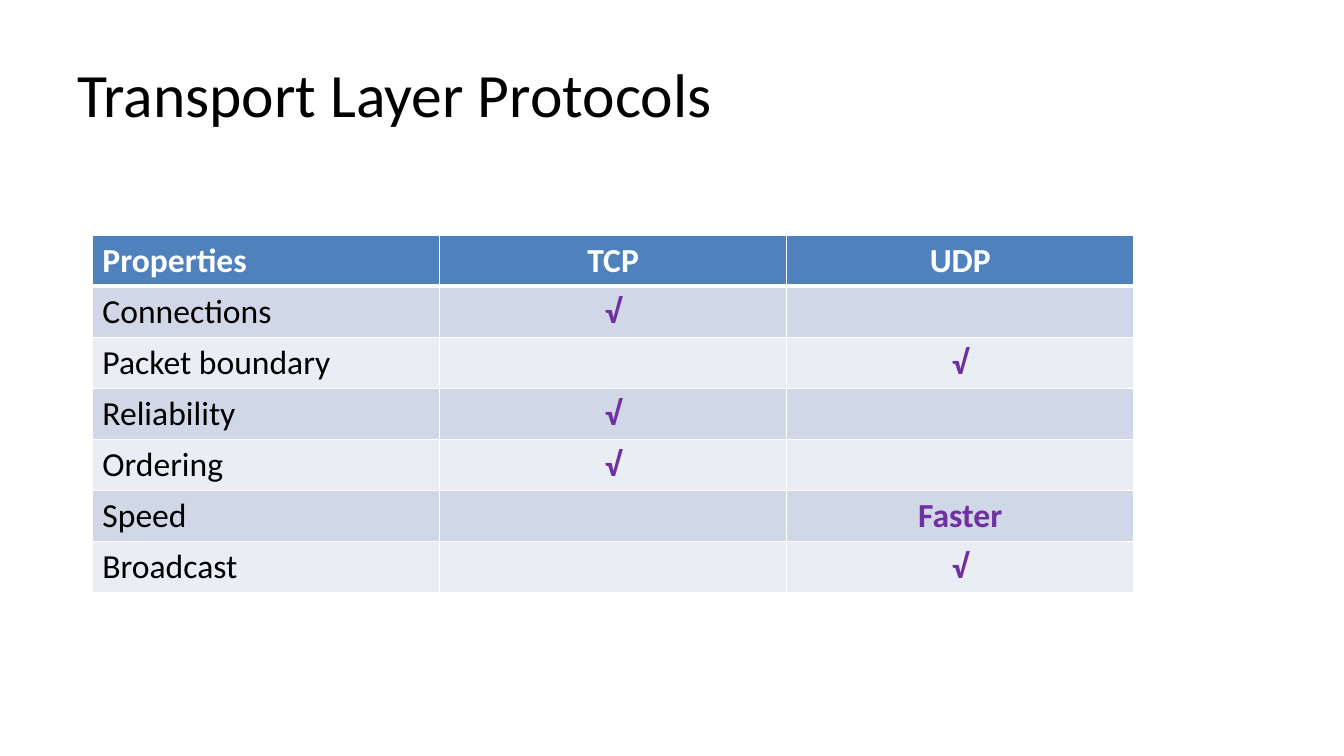
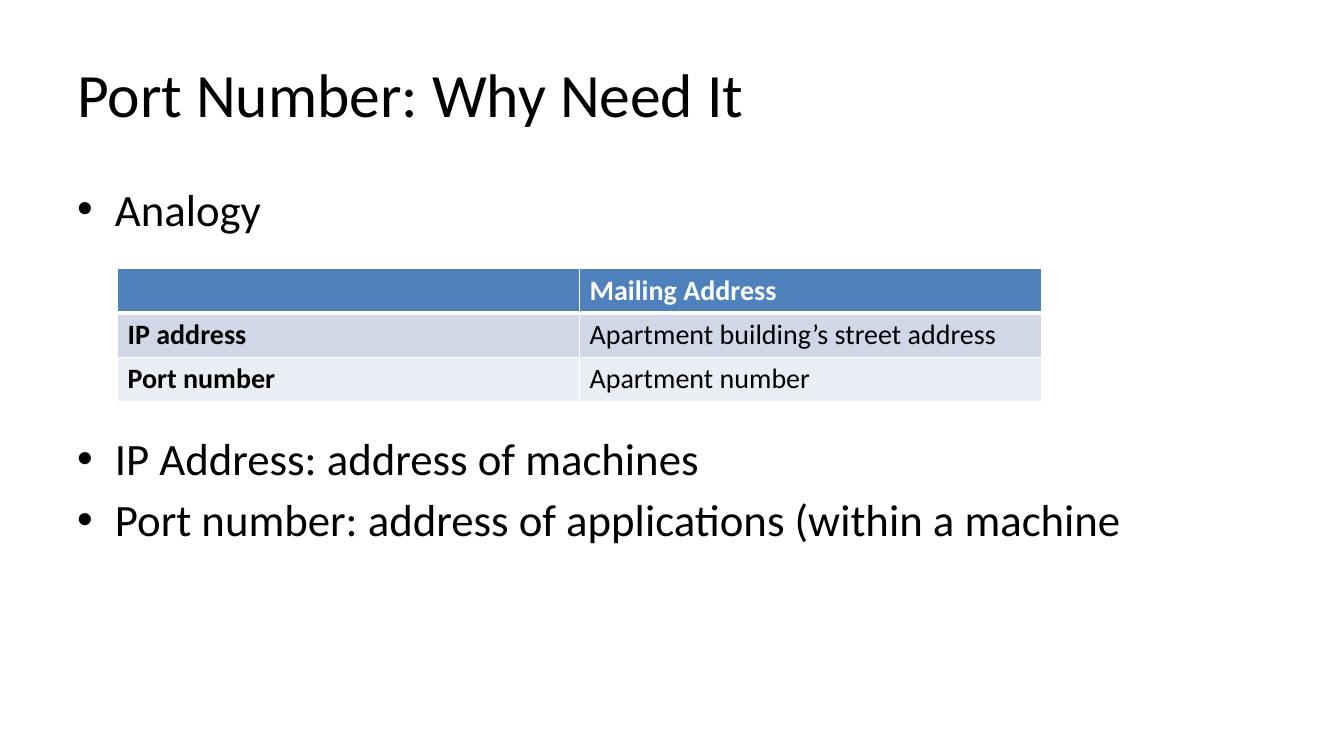
from lxml.etree import SubElement as Sub
from pptx import Presentation
from pptx.dml.color import RGBColor as Rgb
from pptx.enum.text import MSO_ANCHOR as Anchor, PP_ALIGN as Align
from pptx.oxml.ns import qn
from pptx.util import Pt

HUE = {"ink": "000000", "head": "4F81BD", "odd": "D0D8E8",
       "even": "E9EDF4", "line": "FFFFFF", "mark": "7030A0"}
FACE = "Calibri"


def style(par, size, hue="ink", bold=False, align=Align.LEFT):
    """Format all the text of a paragraph."""
    par.alignment = align
    look = {"name": FACE, "size": Pt(size), "bold": bold}
    for run in par.runs:
        for key, val in look.items():
            setattr(run.font, key, val)
        run.font.color.rgb = Rgb.from_string(HUE[hue])


def grid(slide, rows, box, size, tint, bold, mid):
    """Add a table; tint and bold format the body by column, mid centres columns."""
    left, top, wide, high = box
    tab = slide.shapes.add_table(len(rows), len(rows[0]), Pt(left), Pt(top),
                                 Pt(wide), Pt(high * len(rows))).table
    for col in tab.columns:
        col.width = Pt(wide / len(rows[0]))
    for i, row in enumerate(rows):
        tab.rows[i].height = Pt(high)
        band = "head" if i == 0 else "odd" if i % 2 else "even"
        for j, text in enumerate(row):
            cell = tab.cell(i, j)
            par = cell.text_frame.paragraphs[0]
            if text:
                par.text = text
            style(par, size, tint[j] if i else "line", bold[j] if i else True,
                  Align.CENTER if j in mid else Align.LEFT)
            # Borders go before the fill in the cell properties
            props = cell._tc.get_or_add_tcPr()
            for side in ("lnL", "lnR", "lnT", "lnB"):
                thick = (side == "lnB" and i == 0) or (side == "lnT" and i == 1)
                edge = Sub(props, qn("a:" + side), w=str(Pt(3 if thick else 1)))
                fill = Sub(edge, qn("a:solidFill"))
                Sub(fill, qn("a:srgbClr"), val=HUE["line"])
            cell.fill.solid()
            cell.fill.fore_color.rgb = Rgb.from_string(HUE[band])


deck = Presentation()
deck.slide_width, deck.slide_height = Pt(960), Pt(540)

# Slides with their titles
pages = []
for text in ("Transport Layer Protocols", "Port Number: Why Need It"):
    page = deck.slides.add_slide(deck.slide_layouts[5])
    title = page.shapes.title
    spot = {"left": 48, "top": 21.6, "width": 864, "height": 90}
    for key, val in spot.items():
        setattr(title, key, Pt(val))
    title.text_frame.text = text
    title.text_frame.vertical_anchor = Anchor.MIDDLE
    style(title.text_frame.paragraphs[0], 44)
    pages.append(page)
first, second = pages

# Slide 1: protocol table
grid(first, [("Properties", "TCP", "UDP"),
             ("Connections", "√", ""),
             ("Packet boundary", "", "√"),
             ("Reliability", "√", ""),
             ("Ordering", "√", ""),
             ("Speed", "", "Faster"),
             ("Broadcast", "", "√")],
     (66, 168, 744, 36.5), 24, ("ink", "mark", "mark"), (False, True, True), (1, 2))

# Slide 2: bullets, with room for the table after the first
body = second.shapes.add_textbox(Pt(48), Pt(126), Pt(864), Pt(288)).text_frame
body.word_wrap = True
points = [("Analogy", 6), ("IP Address: address of machines", 140),
          ("Port number: address of applications (within a machine", 5.2)]
for i, (text, gap) in enumerate(points):
    par = body.add_paragraph() if i else body.paragraphs[0]
    par.text = text
    par.space_before = Pt(gap)
    style(par, 32)
    props = par._p.get_or_add_pPr()
    props.set("marL", str(Pt(27)))
    props.set("indent", str(Pt(-27)))
    Sub(props, qn("a:buFont"), typeface="Arial")
    Sub(props, qn("a:buChar"), char="•")

# Slide 2: analogy table
grid(second, [("", "Mailing Address"),
              ("IP address", "Apartment building’s street address"),
              ("Port number", "Apartment number")],
     (84, 192, 660, 31.6), 20, ("ink", "ink"), (True, False), ())

deck.save("out.pptx")
